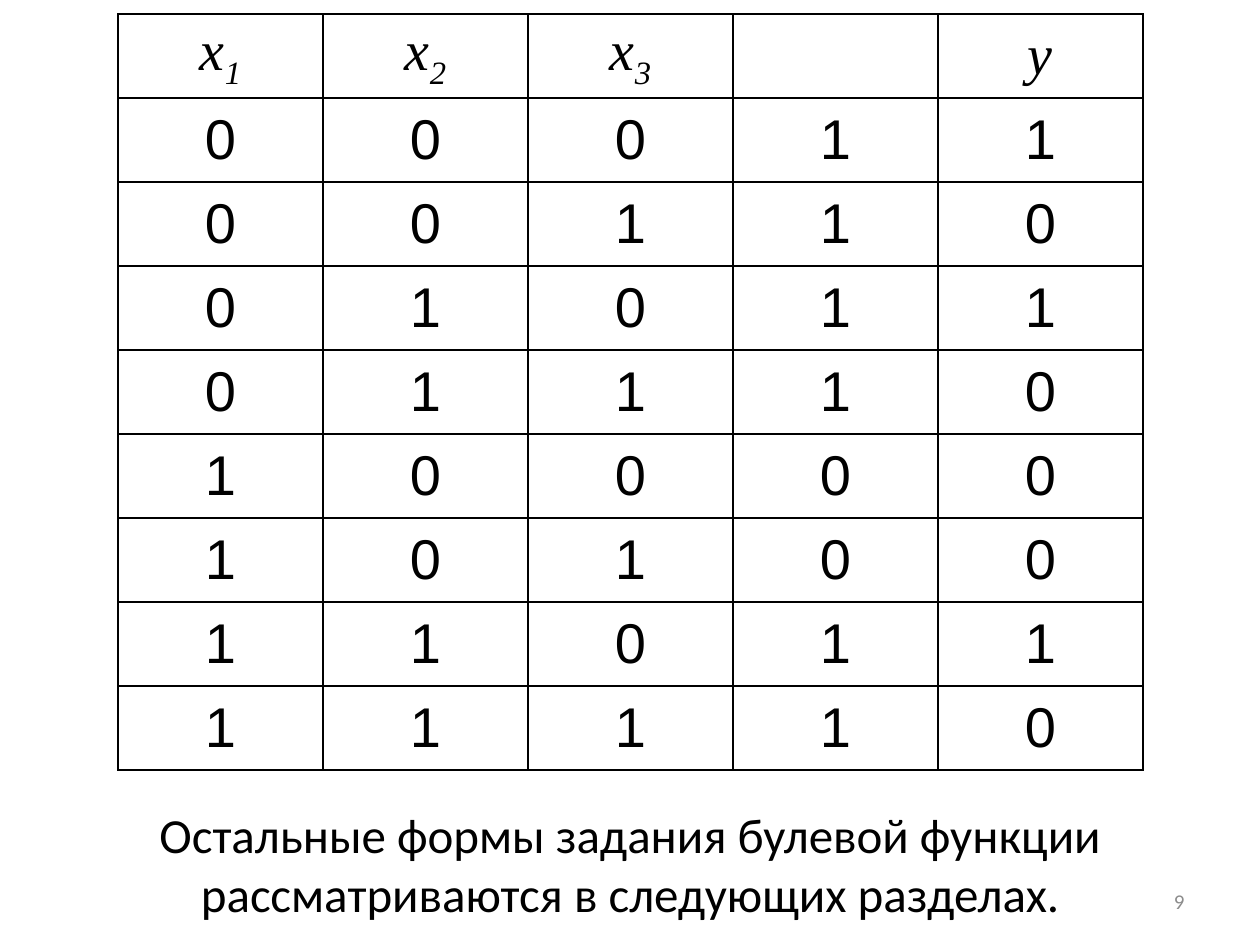
import pptx
import pptx.dml.color
import pptx.enum.text
import pptx.oxml
import pptx.oxml.ns
import pptx.util

PX = 914400 / 126  # EMU per px
COL_W, ROW_H = 205, 84
HEADERS = ["x1", "x2", "x3", "", "y"]
TRUTH_ROWS = ["00011", "00110", "01011", "01110", "10000", "10100", "11011", "11110"]
CENTER = pptx.enum.text.PP_ALIGN.CENTER
RIGHT = pptx.enum.text.PP_ALIGN.RIGHT
MIDDLE = pptx.enum.text.MSO_ANCHOR.MIDDLE


def px(n):
    return pptx.util.Emu(round(n * PX))


def rgb(value):
    return pptx.dml.color.RGBColor.from_string(value)


def style_run(r, font, size, color="000000", italic=False):
    r.font.name = font
    r.font.size = pptx.util.Pt(size)
    r.font.color.rgb = rgb(color)
    r.font.italic = italic


def add_borders(cell, color="000000"):
    tcPr = cell._tc.get_or_add_tcPr()
    for i, side in enumerate(("lnL", "lnR", "lnT", "lnB")):
        tcPr.insert(i, pptx.oxml.parse_xml(
            f'<a:{side} {pptx.oxml.ns.nsdecls("a")} w="12700"><a:solidFill>'
            f'<a:srgbClr val="{color}"/></a:solidFill></a:{side}>'))


def format_cell(cell):
    cell.fill.background()
    cell.vertical_anchor = MIDDLE
    cell.margin_left = cell.margin_right = px(6)
    cell.margin_top = cell.margin_bottom = 0
    cell.text_frame.paragraphs[0].alignment = CENTER
    add_borders(cell)


def fill_header(cell, label):
    """Write a variable name, with its index as a subscript."""
    p = cell.text_frame.paragraphs[0]
    for char in label:
        r = p.add_run()
        r.text = char
        style_run(r, "Times New Roman", 32, italic=True)
        if char.isdigit():
            r.font._element.set("baseline", "-25000")


def fill_value(cell, value):
    cell.text_frame.text = value
    style_run(cell.text_frame.paragraphs[0].runs[0], "Arial", 32)


def add_truth_table(s, left, top):
    n_rows, n_cols = len(TRUTH_ROWS) + 1, len(HEADERS)
    frame = s.shapes.add_table(n_rows, n_cols, px(left), px(top),
                               px(n_cols * COL_W), px(n_rows * ROW_H))
    table = frame.table
    table.first_row = table.horz_banding = False
    for column in table.columns:
        column.width = px(COL_W)
    for row in table.rows:
        row.height = px(ROW_H)
    for i, values in enumerate([HEADERS, *TRUTH_ROWS]):
        for j, value in enumerate(values):
            cell = table.cell(i, j)
            if i == 0:
                fill_header(cell, value)
            else:
                fill_value(cell, value)
            format_cell(cell)


def add_text(s, box, text, size, color, align):
    sp = s.shapes.add_textbox(*map(px, box))
    tf = sp.text_frame
    tf.word_wrap = True
    tf.vertical_anchor = MIDDLE
    tf.text = text
    p = tf.paragraphs[0]
    p.alignment = align
    style_run(p.runs[0], "Calibri", size, color)


def main():
    prs = pptx.Presentation()
    prs.slide_width, prs.slide_height = px(1260), px(945)
    s = prs.slides.add_slide(prs.slide_layouts[6])
    add_truth_table(s, 118, 14)
    add_text(s, (0, 798, 1260, 131),
             "Остальные формы задания булевой функции рассматриваются в следующих разделах.",
             28, "000000", CENTER)
    add_text(s, (903, 876, 294, 50), "9", 12, "8C8C8C", RIGHT)
    prs.save("out.pptx")


if __name__ == "__main__":
    main()
